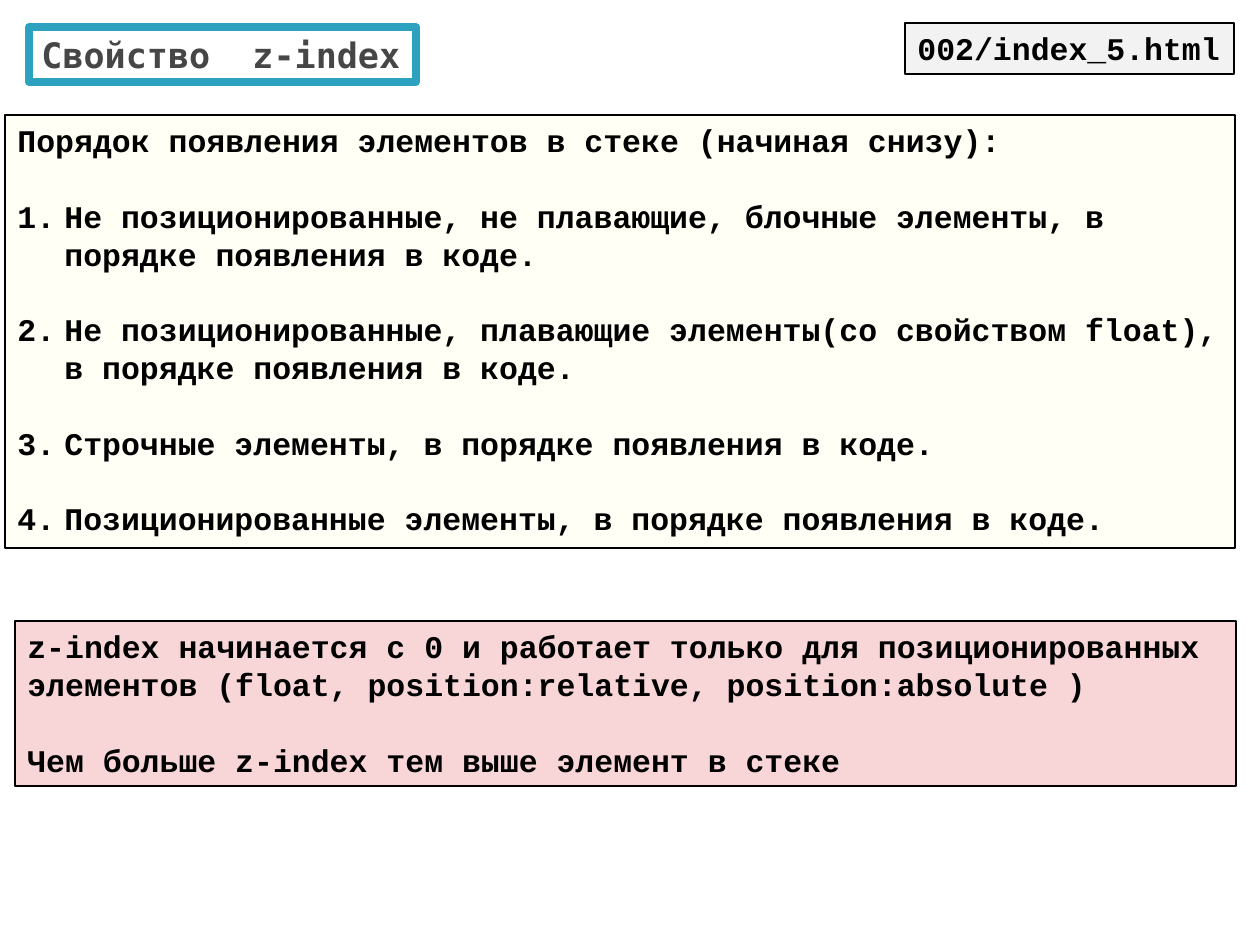
from dataclasses import dataclass
from typing import Optional

from lxml.etree import SubElement
from pptx import Presentation
from pptx.dml.color import RGBColor
from pptx.enum.text import MSO_ANCHOR, MSO_AUTO_SIZE
from pptx.oxml.ns import qn
from pptx.util import Emu, Pt

EMU_PER_PX = 914400 / 126
PARAGRAPH_GAP = 21.6
NUMBER_INDENT = 47


@dataclass
class Box:
    x: int
    y: int
    w: int
    h: int
    lines: list[str]
    fill: str
    opacity: int = 100
    numbered_from: Optional[int] = None
    wrap: bool = True
    grow: bool = True
    anchor: MSO_ANCHOR = MSO_ANCHOR.TOP
    border: str = "000000"
    border_pt: float = 1
    font: str = "Courier New"
    size: int = 18
    color: str = "000000"


def px(n: int) -> Emu:
    return Emu(round(n * EMU_PER_PX))


def rgb(value: str) -> RGBColor:
    return RGBColor.from_string(value)


def number_paragraph(p) -> None:
    pPr = p._p.get_or_add_pPr()
    pPr.set("marL", str(px(NUMBER_INDENT)))
    pPr.set("indent", str(-px(NUMBER_INDENT)))
    SubElement(pPr, qn("a:buFont"), typeface="+mj-lt")
    SubElement(pPr, qn("a:buAutoNum"), type="arabicPeriod")


def draw_box(s, box: Box) -> None:
    sp = s.shapes.add_textbox(px(box.x), px(box.y), px(box.w), px(box.h))

    # Fill and border
    sp.fill.solid()
    sp.fill.fore_color.rgb = rgb(box.fill)
    if box.opacity < 100:
        color = sp.fill._xPr.find(qn("a:solidFill"))[0]
        SubElement(color, qn("a:alpha"), val=str(box.opacity * 1000))
    sp.line.color.rgb = rgb(box.border)
    sp.line.width = Pt(box.border_pt)
    SubElement(sp.line._ln, qn("a:round"))

    # Text
    tf = sp.text_frame
    tf.word_wrap = box.wrap
    tf.auto_size = MSO_AUTO_SIZE.SHAPE_TO_FIT_TEXT if box.grow else MSO_AUTO_SIZE.NONE
    tf.vertical_anchor = box.anchor
    for i, line in enumerate(box.lines):
        p = tf.add_paragraph() if i else tf.paragraphs[0]
        p.text = line
        if i:
            p.space_before = Pt(PARAGRAPH_GAP)
        if box.numbered_from is not None and i >= box.numbered_from:
            number_paragraph(p)
        font = p.runs[0].font
        font.name, font.size, font.bold = box.font, Pt(box.size), True
        font.color.rgb = rgb(box.color)


BOXES = [
    # Title
    Box(29, 27, 387, 55, ["Свойство  z-index"], "FFFFFF", grow=False,
        anchor=MSO_ANCHOR.MIDDLE, border="2DA2BF", border_pt=4.33,
        font="DejaVu Sans Mono", size=20, color="464646"),
    # Example file
    Box(905, 23, 329, 51, ["002/index_5.html"], "F2F2F2", wrap=False),
    # Stacking order
    Box(5, 115, 1230, 433, [
        "Порядок появления элементов в стеке (начиная снизу):",
        "Не позиционированные, не плавающие, блочные элементы, в порядке появления в коде.",
        "Не позиционированные, плавающие элементы(со свойством float), "
        "в порядке появления в коде.",
        "Строчные элементы, в порядке появления в коде.",
        "Позиционированные элементы, в порядке появления в коде.",
    ], "FFFF00", opacity=4, numbered_from=1),
    # Rule for z-index
    Box(15, 621, 1221, 165, [
        "z-index начинается с 0 и работает только для позиционированных "
        "элементов (float, position:relative, position:absolute )",
        "Чем больше z-index тем выше элемент в стеке",
    ], "DA1F28", opacity=18),
]


def main() -> None:
    prs = Presentation()
    prs.slide_width, prs.slide_height = px(1260), px(945)
    s = prs.slides.add_slide(prs.slide_layouts[6])
    for box in BOXES:
        draw_box(s, box)
    prs.save("out.pptx")


if __name__ == "__main__":
    main()
